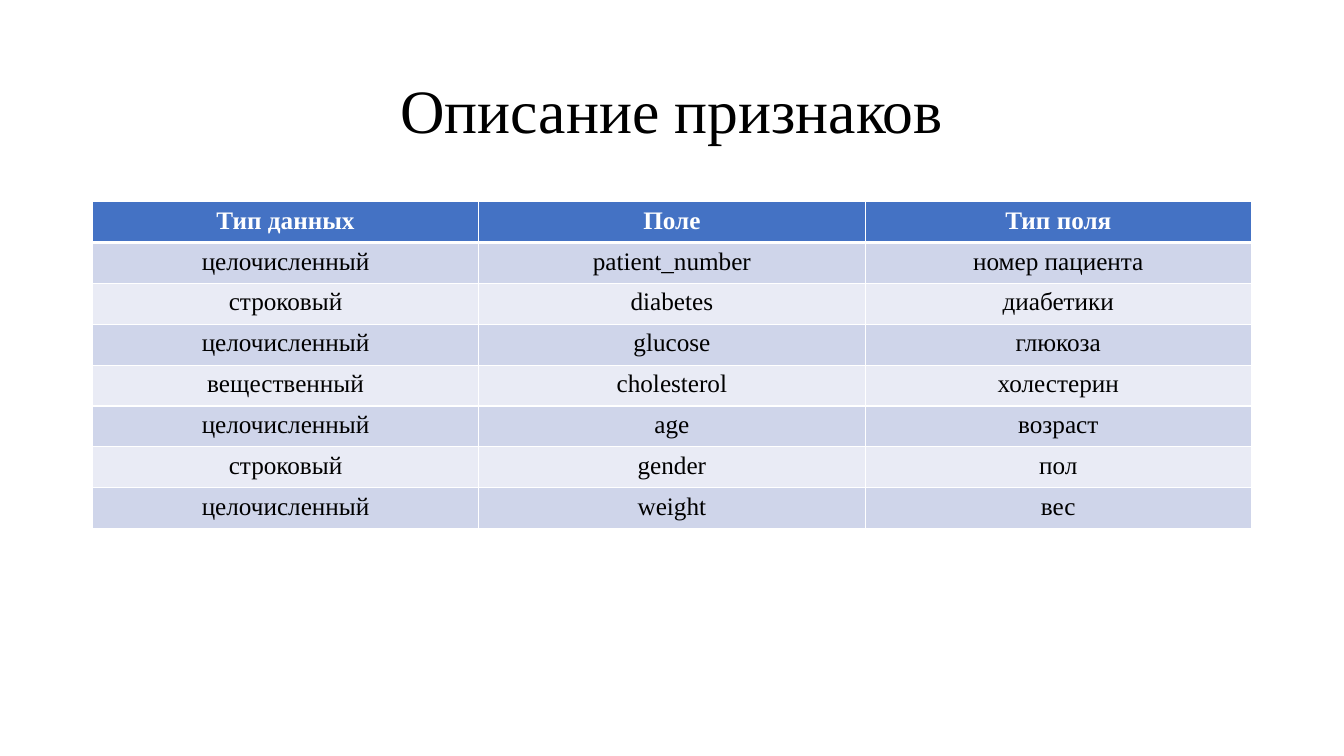
from dataclasses import dataclass

from lxml.etree import SubElement
from pptx import Presentation
from pptx.dml.color import RGBColor
from pptx.enum.text import MSO_ANCHOR as Anchor, PP_ALIGN as Align
from pptx.oxml.ns import qn
from pptx.util import Pt

TITLE = "Описание признаков"
HEADER = ("Тип данных", "Поле", "Тип поля")
FEATURES = [
    ("целочисленный", "patient_number", "номер пациента"),
    ("строковый", "diabetes", "диабетики"),
    ("целочисленный", "glucose", "глюкоза"),
    ("вещественный", "cholesterol", "холестерин"),
    ("целочисленный", "age", "возраст"),
    ("строковый", "gender", "пол"),
    ("целочисленный", "weight", "вес"),
]


@dataclass(frozen=True)
class Theme:
    font: str = "Times New Roman"
    title_size: int = 44
    table_size: int = 18
    text: str = "000000"
    header_text: str = "FFFFFF"
    header_fill: str = "4472C4"
    bands: tuple = ("CFD5EA", "E9EBF5")
    border: str = "FFFFFF"
    thin: int = 1
    thick: int = 3


THEME = Theme()
SLIDE_WIDTH, SLIDE_HEIGHT = 960, 540
MARGIN = 66
CONTENT_WIDTH = SLIDE_WIDTH - 2 * MARGIN
TITLE_TOP, TITLE_HEIGHT = 28.75, 104.4
TABLE_TOP, ROW_HEIGHT = 144, 29.2


def style_paragraph(paragraph, size, color, bold=False):
    paragraph.alignment = Align.CENTER
    for run in paragraph.runs:
        run.font.name = THEME.font
        run.font.size = Pt(size)
        run.font.bold = bold
        run.font.color.rgb = RGBColor.from_string(color)


def set_borders(cell, top, bottom):
    """Draw all four borders; must run before the cell's fill is set."""
    properties = cell._tc.get_or_add_tcPr()
    widths = {"L": THEME.thin, "R": THEME.thin, "T": top, "B": bottom}
    for side, width in widths.items():
        line = SubElement(properties, qn(f"a:ln{side}"), w=str(Pt(width)))
        fill = SubElement(line, qn("a:solidFill"))
        SubElement(fill, qn("a:srgbClr"), val=THEME.border)


def add_title(slide):
    box = slide.shapes.add_textbox(
        Pt(MARGIN), Pt(TITLE_TOP), Pt(CONTENT_WIDTH), Pt(TITLE_HEIGHT))
    frame = box.text_frame
    frame.word_wrap = True
    frame.vertical_anchor = Anchor.MIDDLE
    frame.text = TITLE
    frame.paragraphs[0].line_spacing = 0.9
    style_paragraph(frame.paragraphs[0], THEME.title_size, THEME.text)


def add_feature_table(slide):
    rows = [HEADER, *FEATURES]
    table = slide.shapes.add_table(
        len(rows), len(HEADER), Pt(MARGIN), Pt(TABLE_TOP),
        Pt(CONTENT_WIDTH), Pt(ROW_HEIGHT * len(rows))).table
    for row_index, values in enumerate(rows):
        table.rows[row_index].height = Pt(ROW_HEIGHT)
        is_header = row_index == 0
        fill = THEME.header_fill if is_header else THEME.bands[(row_index - 1) % 2]
        color = THEME.header_text if is_header else THEME.text
        top = THEME.thick if row_index == 1 else THEME.thin
        bottom = THEME.thick if is_header else THEME.thin
        for column_index, value in enumerate(values):
            cell = table.cell(row_index, column_index)
            set_borders(cell, top, bottom)
            cell.fill.solid()
            cell.fill.fore_color.rgb = RGBColor.from_string(fill)
            cell.text_frame.text = value
            style_paragraph(
                cell.text_frame.paragraphs[0], THEME.table_size, color, is_header)


def main():
    presentation = Presentation()
    presentation.slide_width = Pt(SLIDE_WIDTH)
    presentation.slide_height = Pt(SLIDE_HEIGHT)
    slide = presentation.slides.add_slide(presentation.slide_layouts[6])
    add_title(slide)
    add_feature_table(slide)
    presentation.save("out.pptx")


if __name__ == "__main__":
    main()
